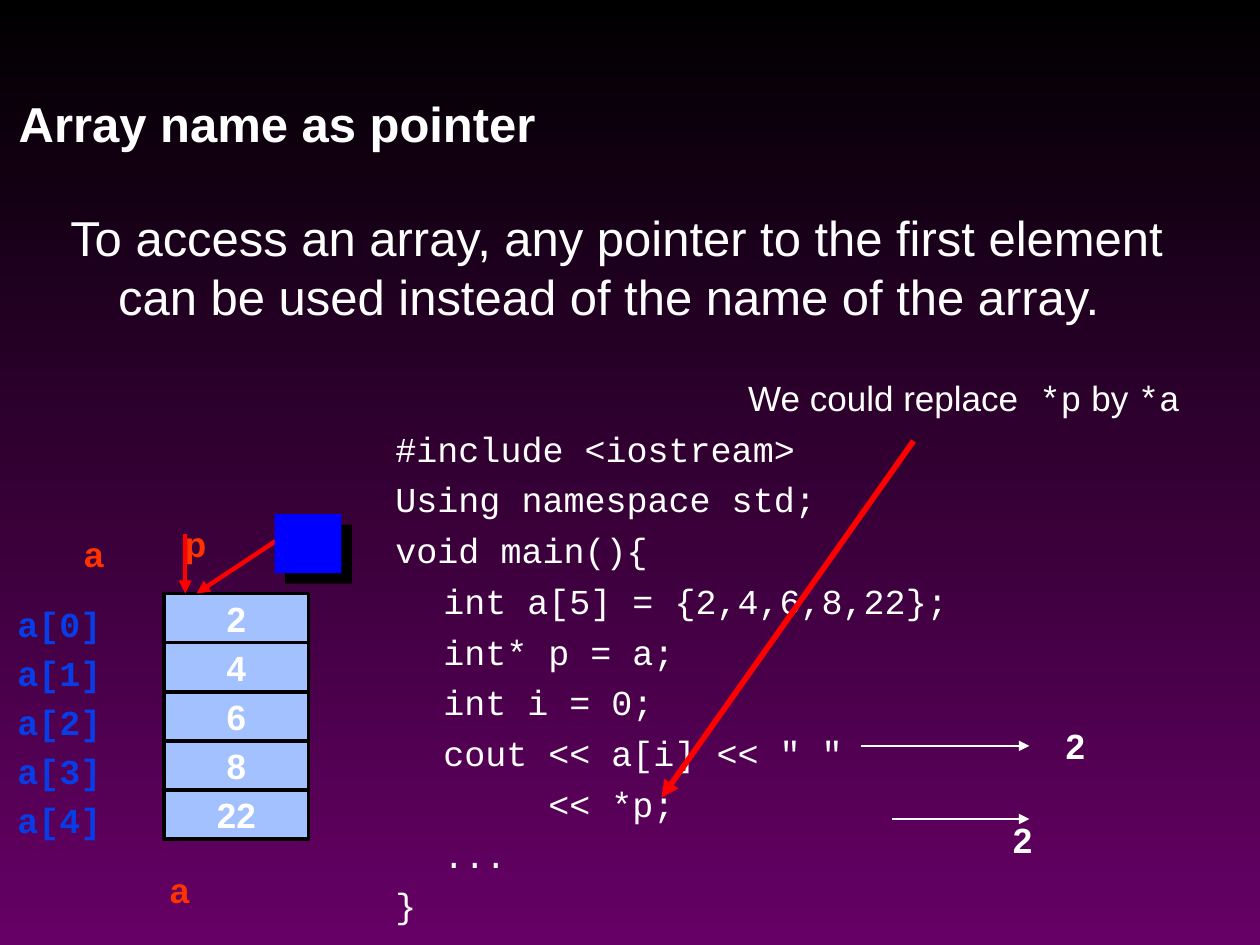
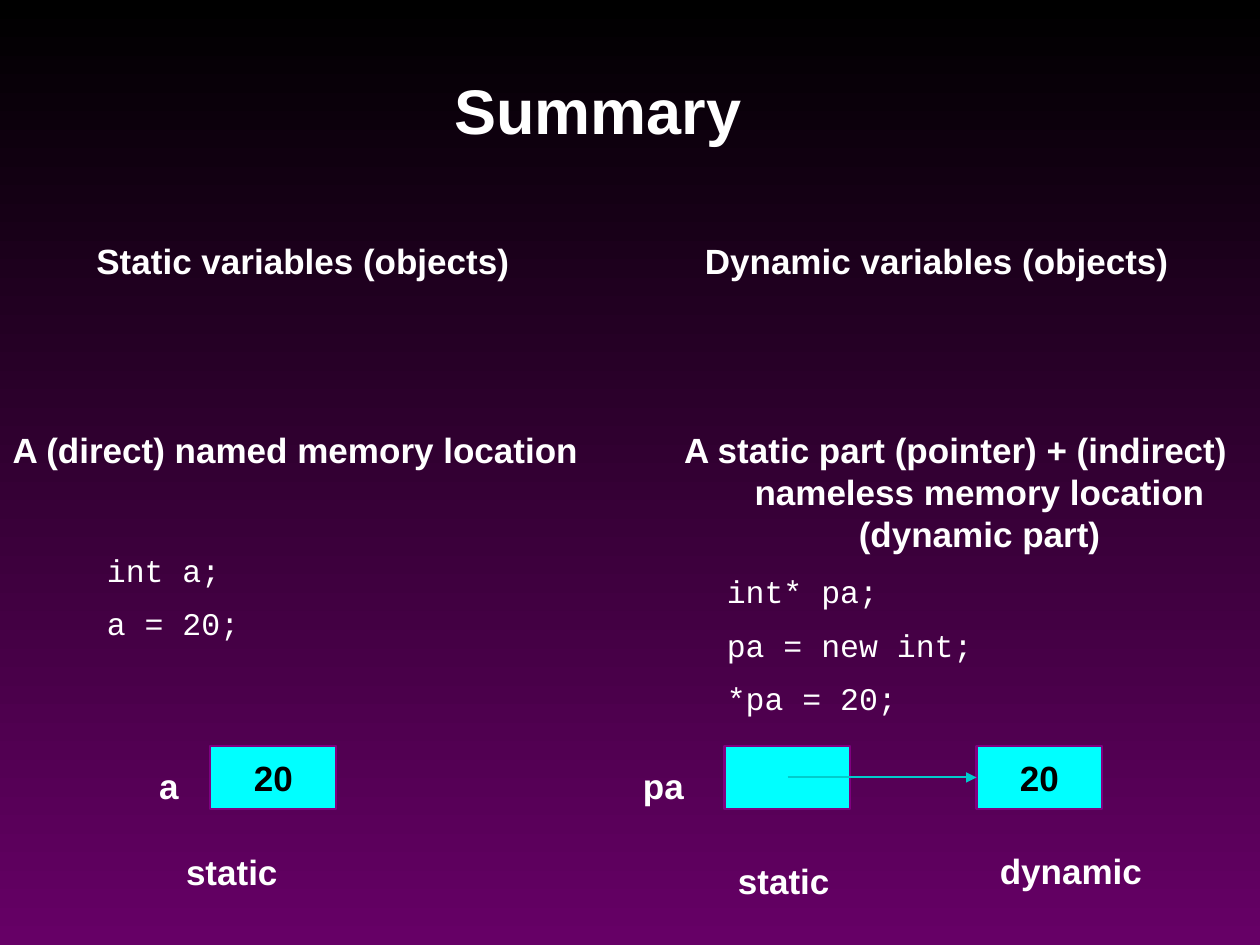
import pptx
import pptx.dml.color
import pptx.enum.shapes
import pptx.enum.text
import pptx.oxml
import pptx.oxml.ns
import pptx.util

Inches = pptx.util.Inches
Pt = pptx.util.Pt
Align = pptx.enum.text.PP_ALIGN

COLORS = {
    "black": "000000", "plum": "660066", "white": "FFFFFF", "cell": "A2C1FE",
    "index": "063DE8", "name": "FF3300", "red": "FF0000", "blue": "0000FF",
    "cyan": "00FFFF", "edge": "800080", "teal": "00CCCC",
}
SANS, MONO = "Arial", "Courier New"
LABEL = {"name": SANS, "size": Pt(20), "bold": True}
BODY = {"name": SANS, "size": Pt(28), "bold": False}
HEAD = {"name": SANS, "size": Pt(28), "bold": True}
TITLE = {"name": SANS, "size": Pt(36), "bold": True}
NOTE = {"name": SANS, "size": Pt(20), "bold": False}
CODE = {"name": MONO, "size": Pt(20), "bold": False}
SMALL = {"name": MONO, "size": Pt(18), "bold": False}
INDEX = {"name": MONO, "size": Pt(20), "bold": True}


def rgb(key):
    return pptx.dml.color.RGBColor.from_string(COLORS[key])


def effects(shape, inner=""):
    """Replace the theme effects with the given ones."""
    space = pptx.oxml.ns.nsdecls("a")
    xml = f"<a:effectLst {space}>{inner}</a:effectLst>"
    shape._element.spPr.append(pptx.oxml.parse_xml(xml))


class Deck:
    def __init__(self):
        self.prs = pptx.Presentation()
        self.prs.slide_width = Inches(10)
        self.prs.slide_height = Inches(7.5)
        self.slide = None

    def page(self):
        self.slide = self.prs.slides.add_slide(self.prs.slide_layouts[6])
        fill = self.slide.background.fill
        fill.gradient()
        fill.gradient_angle = 270
        for stop, key in zip(fill.gradient_stops, ("black", "plum")):
            stop.color.rgb = rgb(key)

    def style(self, run, form, color):
        for key, value in form.items():
            setattr(run.font, key, value)
        run.font.color.rgb = rgb(color)

    def text(self, x, y, w, h, lines, form=LABEL, color="white",
             align=Align.LEFT, gap=0, lead=1.2):
        """Each line is a string, or a list of (string, format) runs."""
        box = self.slide.shapes.add_textbox(*map(Inches, (x, y, w, h)))
        frame = box.text_frame
        frame.word_wrap = True
        frame.margin_top = Inches(0.07)
        for i, line in enumerate(lines):
            para = frame.paragraphs[0] if i == 0 else frame.add_paragraph()
            props = para._p.get_or_add_pPr()
            props.set("marL", str(Inches(0.38)))
            props.set("indent", str(-Inches(0.38)))
            look = {"alignment": align, "space_before": Pt(gap if i else 0),
                    "line_spacing": Pt(form["size"].pt * lead)}
            for key, value in look.items():
                setattr(para, key, value)
            for words, kind in [(line, form)] if isinstance(line, str) else line:
                run = para.add_run()
                run.text = words
                self.style(run, kind, color)

    def label(self, x, y, w, words, form=LABEL, h=0.44):
        self.text(x, y, w, h, [words], form, align=Align.CENTER)

    def box(self, x, y, w, h, fill, edge=None, width=0, words="", color="white"):
        shape = self.slide.shapes.add_shape(
            pptx.enum.shapes.MSO_SHAPE.RECTANGLE, *map(Inches, (x, y, w, h)))
        shape.fill.solid()
        shape.fill.fore_color.rgb = rgb(fill)
        if edge:
            shape.line.color.rgb = rgb(edge)
            shape.line.width = Pt(width)
            shape.shadow.inherit = False
        else:
            shape.line.fill.background()
        if words:
            frame = shape.text_frame
            frame.vertical_anchor = pptx.enum.text.MSO_ANCHOR.MIDDLE
            para = frame.paragraphs[0]
            para.alignment = Align.CENTER
            run = para.add_run()
            run.text = words
            self.style(run, LABEL, color)
        return shape

    def arrow(self, x1, y1, x2, y2, color, width):
        line = self.slide.shapes.add_connector(
            pptx.enum.shapes.MSO_CONNECTOR.STRAIGHT,
            *map(Inches, (x1, y1, x2, y2)))
        line.line.color.rgb = rgb(color)
        line.line.width = Pt(width)
        space = pptx.oxml.ns.nsdecls("a")
        line.line._get_or_add_ln().append(
            pptx.oxml.parse_xml(f'<a:tailEnd {space} type="triangle"/>'))
        effects(line)


def pointer(deck):
    deck.page()
    deck.text(0.46, 1.58, 9.54, 1.2, [
        "To access an array, any pointer to the first element "
        "can be used instead of the name of the array."], BODY)
    deck.text(5.84, 2.92, 4.1, 0.44, [[
        ("We could replace", NOTE), (" *p", CODE), (" by ", NOTE),
        ("*a", CODE)]], NOTE)

    # Program
    deck.text(3.04, 3.32, 5, 4.1, [
        "#include <iostream>",
        "Using namespace std;",
        "void main(){",
        "\tint a[5] = {2,4,6,8,22};",
        "\tint* p = a;",
        "\tint i = 0;",
        '\tcout << a[i] << " "',
        "\t     << *p;",
        "\t...",
        "}"], CODE, gap=5)

    # Array cells with their indexes
    for i, value in enumerate((2, 4, 6, 8, 22)):
        y = 4.71 + 0.39 * i
        deck.box(1.3, y, 1.15, 0.39, "cell", "black", 2, str(value))
        deck.text(0.04, y, 1.2, 0.44, [f"a[{i}]"], INDEX, "index")

    # Pointers to the first cell
    deck.arrow(1.47, 4.24, 1.47, 4.71, "red", 2.5)
    deck.arrow(2.27, 4.24, 1.56, 4.71, "red", 2.5)
    square = deck.box(2.18, 4.08, 0.53, 0.47, "blue")
    effects(square, f'<a:outerShdw dist="{Pt(8.5)}" dir="2700000" algn="ctr" '
                    f'rotWithShape="0"><a:srgbClr val="{COLORS["black"]}"/>'
                    '</a:outerShdw>')
    for x, y, name in ((0.57, 4.16, "a"), (1.37, 4.08, "p"), (1.25, 6.82, "a")):
        deck.text(x, y, 0.8, 0.44, [name], color="name")

    deck.arrow(7.25, 3.5, 5.25, 6.33, "red", 3.25)
    deck.text(0.05, 0.67, 5.05, 0.57, ["Array name as pointer"], HEAD)

    # Output
    for start, y in ((6.83, 5.92), (7.08, 6.5)):
        deck.arrow(start, y, 8.17, y, "white", 1)
    for x, y in ((8.36, 5.68), (7.94, 6.43)):
        deck.text(x, y, 1.1, 0.44, ["2"])


def summary(deck):
    deck.page()
    # Headings
    for x, y, w, words in (
            (0.29, 1.83, 4.23, "Static variables (objects)"),
            (5.12, 1.83, 4.63, "Dynamic variables (objects)"),
            (-0.38, 3.33, 5.45, "A (direct) named memory location")):
        deck.label(x, y, w, words)
    deck.label(5.17, 3.33, 4.83, "A static part (pointer) + (indirect) "
               "nameless memory location (dynamic part)", h=1.1)

    # Code
    for x, y, w, lines in (
            (0.75, 4.33, 4.5, ["int a;", "a = 20;"]),
            (5.67, 4.5, 4.3, ["int* pa;", "pa = new int;", "*pa = 20;"])):
        deck.text(x, y, w, 0.43 * len(lines), lines, SMALL, gap=11.2, lead=1.08)

    # Memory boxes
    for x, value in ((1.67, "20"), (5.75, ""), (7.75, "20")):
        deck.box(x, 5.92, 1, 0.5, "cyan", "edge", 1.25, value, "black")
    deck.arrow(6.25, 6.17, 7.75, 6.17, "teal", 1.25)
    for x, y, w, words in (
            (0.79, 6, 1.1, "a"), (4.63, 6, 1.27, "pa"),
            (1, 6.68, 1.68, "static"), (5.38, 6.75, 1.68, "static"),
            (7.46, 6.67, 2.08, "dynamic")):
        deck.label(x, y, w, words)
    deck.label(3.13, 0.5, 3.23, "Summary", TITLE, 0.7)


def main():
    deck = Deck()
    pointer(deck)
    summary(deck)
    deck.prs.save("out.pptx")


if __name__ == "__main__":
    main()
